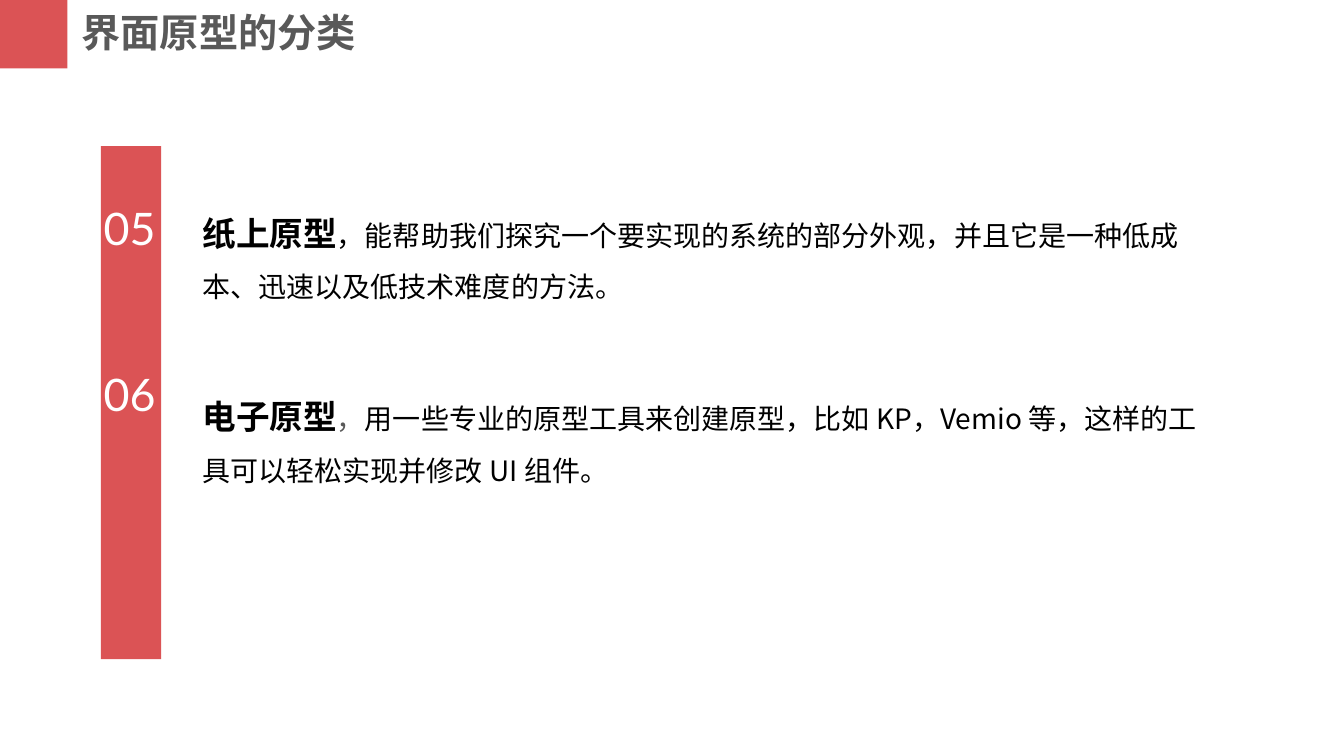
from dataclasses import dataclass

from lxml.etree import SubElement
from pptx import Presentation
from pptx.dml.color import RGBColor
from pptx.enum.shapes import MSO_SHAPE
from pptx.enum.text import MSO_ANCHOR, MSO_AUTO_SIZE, PP_ALIGN
from pptx.oxml.ns import qn
from pptx.util import Inches, Pt


@dataclass(frozen=True)
class Theme:
    accent: RGBColor = RGBColor(0xDB, 0x53, 0x55)
    heading: RGBColor = RGBColor(0x59, 0x59, 0x59)
    body: RGBColor = RGBColor(0, 0, 0)
    inverse: RGBColor = RGBColor(0xFF, 0xFF, 0xFF)
    text_font: str = "Noto Sans CJK SC"
    number_font: str = "Lato"
    title_size: int = 28
    number_size: int = 32
    term_size: int = 24
    body_size: int = 20


@dataclass(frozen=True)
class Span:
    text: str
    size: int
    color: RGBColor
    bold: bool = False
    font: str = "Noto Sans CJK SC"


@dataclass(frozen=True)
class Box:
    left: float
    top: float
    width: float
    height: float

    def emu(self) -> tuple:
        return tuple(Inches(v) for v in (self.left, self.top, self.width, self.height))


@dataclass(frozen=True)
class PrototypeKind:
    number: str
    number_top: float
    text_top: float
    spans: tuple


THEME = Theme()


def term(text: str) -> Span:
    return Span(text, THEME.term_size, THEME.body, True)


def detail(text: str, color: RGBColor = THEME.body) -> Span:
    return Span(text, THEME.body_size, color)


KINDS = (
    PrototypeKind("05", 1.94, 1.86, (
        term("纸上原型"),
        detail("，能帮助我们探究一个要实现的系统的部分外观，并且它是一种低成本、迅速以及低技术难度的方法。"),
    )),
    PrototypeKind("06", 3.59, 3.68, (
        term("电子原型"),
        detail("，", THEME.heading),
        detail("用一些专业的原型工具来创建原型，比如 KP，Vemio 等，这样的工具可以轻松实现并修改 UI 组件。"),
    )),
)


def write(frame, spans: tuple, line_spacing: float = 1.0) -> None:
    frame.word_wrap = True
    frame.auto_size = MSO_AUTO_SIZE.SHAPE_TO_FIT_TEXT
    paragraph = frame.paragraphs[0]
    paragraph.alignment = PP_ALIGN.LEFT
    paragraph.line_spacing = line_spacing
    for span in spans:
        run = paragraph.add_run()
        run.text = span.text
        run.font.size = Pt(span.size)
        run.font.bold = span.bold
        run.font.color.rgb = span.color
        run.font.name = span.font
        # East Asian glyphs take their typeface from a:ea.
        SubElement(run.font._element, qn("a:ea"), typeface=span.font)


def add_block(slide, box: Box) -> None:
    block = slide.shapes.add_shape(MSO_SHAPE.RECTANGLE, *box.emu())
    block.shadow.inherit = False
    block.fill.solid()
    block.fill.fore_color.rgb = THEME.accent
    block.line.fill.background()


def add_text(slide, box: Box, spans: tuple, line_spacing: float = 1.0) -> None:
    write(slide.shapes.add_textbox(*box.emu()).text_frame, spans, line_spacing)


def add_title(slide, text: str) -> None:
    title = slide.shapes.title
    title.left, title.top, title.width, title.height = Box(0.71, 0.03, 4.9, 0.57).emu()
    write(title.text_frame, (Span(text, THEME.title_size, THEME.heading, True),))
    title.text_frame.vertical_anchor = MSO_ANCHOR.MIDDLE


def add_kind(slide, kind: PrototypeKind) -> None:
    number = Span(kind.number, THEME.number_size, THEME.inverse, font=THEME.number_font)
    add_text(slide, Box(0.93, kind.number_top, 0.81, 0.64), (number,))
    add_text(slide, Box(1.91, kind.text_top, 10.1, 1.58), kind.spans, 1.5)


def main() -> None:
    deck = Presentation()
    deck.slide_width, deck.slide_height = Inches(13.33), Inches(7.5)
    slide = deck.slides.add_slide(deck.slide_layouts[5])
    add_block(slide, Box(0, 0, 0.67, 0.68))
    add_title(slide, "界面原型的分类")
    add_block(slide, Box(1, 1.45, 0.6, 5.09))
    for kind in KINDS:
        add_kind(slide, kind)
    deck.save("out.pptx")


if __name__ == "__main__":
    main()
